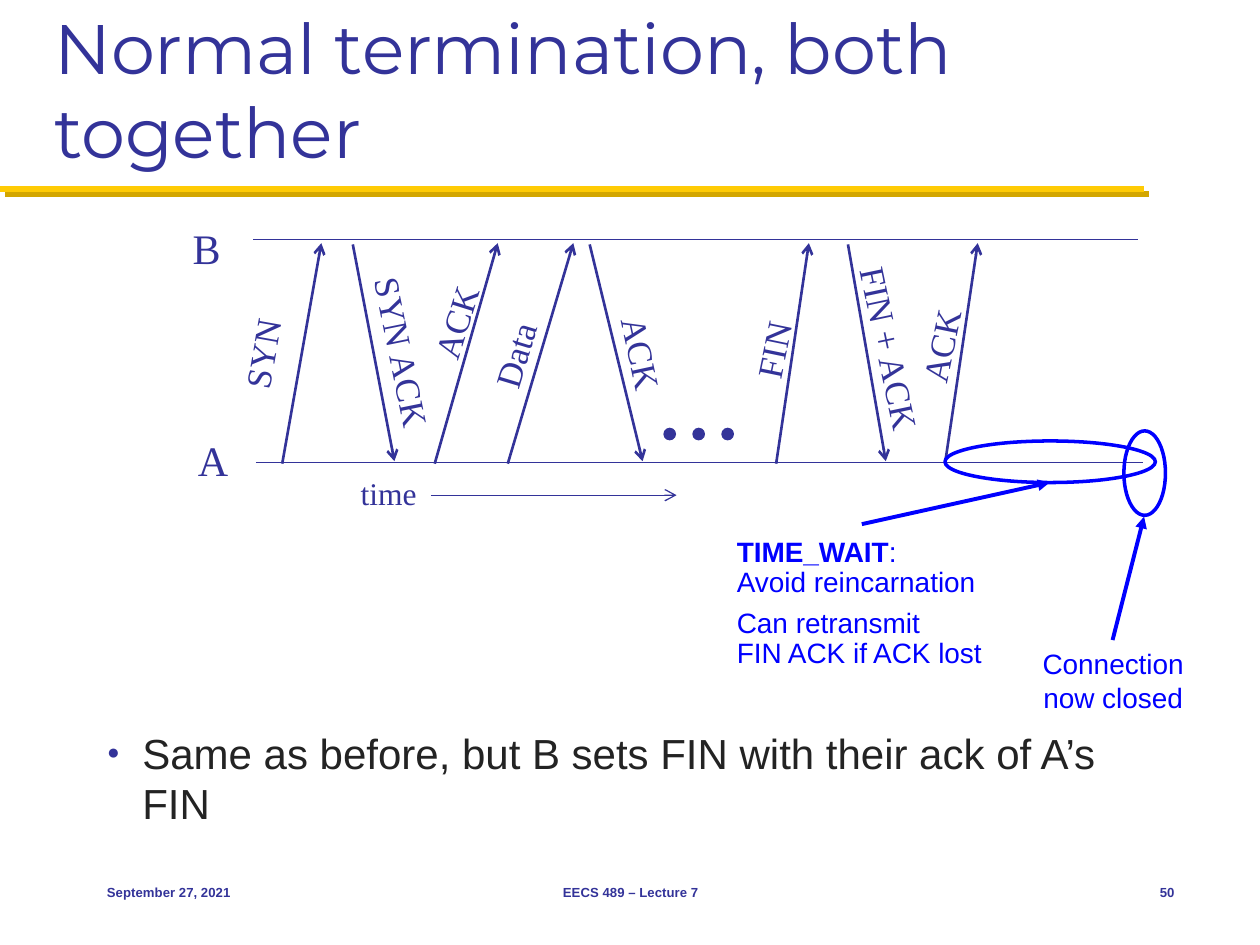
from lxml import etree
from pptx import Presentation
from pptx.dml.color import RGBColor
from pptx.enum.shapes import MSO_CONNECTOR, MSO_SHAPE
from pptx.enum.text import MSO_ANCHOR, MSO_AUTO_SIZE, PP_ALIGN
from pptx.oxml.ns import qn
from pptx.util import Inches, Pt

NAVY = RGBColor(0x33, 0x33, 0x99)
BLUE = RGBColor(0x00, 0x00, 0xFF)
INK = RGBColor(0x23, 0x23, 0x23)
GOLD = RGBColor(0xFF, 0xCB, 0x05)
GOLD_SHADE = RGBColor(0xD3, 0xA6, 0x00)
SANS, SERIF, DISPLAY = "Arial", "Times New Roman", "Montserrat"

STRAIGHT, OVAL = MSO_CONNECTOR.STRAIGHT, MSO_SHAPE.OVAL
LEFT, CENTER, RIGHT = PP_ALIGN.LEFT, PP_ALIGN.CENTER, PP_ALIGN.RIGHT
MIDDLE, BOTTOM = MSO_ANCHOR.MIDDLE, MSO_ANCHOR.BOTTOM
NO_FIT = MSO_AUTO_SIZE.NONE

COLUMNS, ROWS = 100, 75  # grid laid over the slide


class SlideBuilder:
    def __init__(self, prs):
        self.slide = prs.slides.add_slide(prs.slide_layouts[1])
        self.column = prs.slide_width / COLUMNS
        self.row = prs.slide_height / ROWS

    def grid(self, x, y):
        return round(x * self.column), round(y * self.row)

    def style(self, p, size, color, font, bold=False):
        for r in p.runs:
            r.font.size, r.font.name, r.font.bold = Pt(size), font, bold
            r.font.color.rgb = color

    def placeholder(self, index, text, box, size, color, font, anchor):
        sp = self.slide.placeholders[index]
        sp.left, sp.top = self.grid(*box[:2])
        sp.width, sp.height = self.grid(*box[2:])
        tf = sp.text_frame
        tf.text, tf.auto_size, tf.vertical_anchor = text, NO_FIT, anchor
        p = tf.paragraphs[0]
        p.alignment, p.space_before = LEFT, Pt(0)
        self.style(p, size, color, font)
        return p

    def bullet(self, p, indent, char, color, percent):
        pPr = p._p.get_or_add_pPr()
        pPr.set("marL", str(Inches(indent)))
        pPr.set("indent", str(-Inches(indent)))
        bu_clr = etree.SubElement(pPr, qn("a:buClr"))
        etree.SubElement(bu_clr, qn("a:srgbClr"), val=str(color))
        etree.SubElement(pPr, qn("a:buSzPct"), val=str(percent * 1000))
        etree.SubElement(pPr, qn("a:buChar"), char=char)

    def text(self, lines, box, size, color=NAVY, font=SERIF, align=CENTER,
             bold=False, rotation=0):
        sp = self.slide.shapes.add_textbox(*self.grid(*box[:2]), *self.grid(*box[2:]))
        sp.rotation = rotation
        tf = sp.text_frame
        tf.word_wrap, tf.vertical_anchor = align != CENTER, MIDDLE
        for i, line in enumerate(lines):
            p = tf.add_paragraph() if i else tf.paragraphs[0]
            p.text, p.alignment = line, align
            self.style(p, size, color, font, bold)
        return tf

    def line(self, start, end, color=NAVY, width=1.5, head=None, shade=None):
        cn = self.slide.shapes.add_connector(STRAIGHT, *self.grid(*start), *self.grid(*end))
        cn.line.color.rgb, cn.line.width = color, Pt(width)
        if head:
            etree.SubElement(cn.line._get_or_add_ln(), qn("a:tailEnd"), type=head)
        effects = etree.SubElement(cn._element.spPr, qn("a:effectLst"))
        if shade:
            shadow = etree.SubElement(effects, qn("a:outerShdw"), blurRad="0",
                                      dist=str(Pt(4.2)), dir=str(45 * 60000))
            etree.SubElement(shadow, qn("a:srgbClr"), val=str(shade))

    def oval(self, box, color, width, filled=False):
        sp = self.slide.shapes.add_shape(OVAL, *self.grid(*box[:2]), *self.grid(*box[2:]))
        sp.shadow.inherit = False
        sp.line.color.rgb, sp.line.width = color, Pt(width)
        if filled:
            sp.fill.solid()
            sp.fill.fore_color.rgb = color
        else:
            sp.fill.background()


# Messages: label, x at start, x at tip, rising, label centre, label width, angle
MESSAGES = [
    ("SYN", 22.4, 25.5, True, (20.8, 28.05), 7.6, 280.1),
    ("SYN ACK", 28, 31.3, False, (31.95, 27.95), 14.1, 78.5),
    ("ACK", 34.5, 39.5, True, (36.15, 25.55), 7.9, 287.4),
    ("Data", 40.3, 45.5, True, (40.85, 28.15), 7.3, 286.7),
    ("ACK", 46.8, 51, False, (50.95, 28.05), 7.9, 77.9),
    ("FIN", 61.6, 64.2, True, (61.35, 27.75), 6.5, 281.6),
    ("FIN + ACK", 67.3, 70.3, False, (70.65, 27.65), 15.3, 78.1),
    ("ACK", 75, 77.6, True, (74.65, 27.45), 7.9, 281.6),
]
LABEL_HEIGHT = 4.3


def main():
    prs = Presentation()
    prs.slide_width, prs.slide_height = Inches(10), Inches(7.5)
    s = SlideBuilder(prs)

    # Title, rule and bullet
    s.line((0, 15), (90.8, 15), GOLD, 3.5, shade=GOLD_SHADE)
    s.placeholder(0, "Normal termination, both together", (3.3, 1.7, 93.3, 12.5),
                  40, NAVY, DISPLAY, BOTTOM)
    p = s.placeholder(1, "Same as before, but B sets FIN with their ack of A’s FIN",
                      (7.5, 57.2, 86.7, 8.6), 24, INK, SANS, MSO_ANCHOR.TOP)
    s.bullet(p, 0.28, "●", NAVY, 50)

    # Host timelines and time axis
    s.line((20.1, 19), (90.3, 19), width=0.75)
    s.line((20.3, 36.7), (90.7, 36.7), width=0.75)
    s.text(["B"], (14.3, 17.2, 4.2, 5), 24)
    s.text(["A"], (14.7, 34, 4.4, 5), 24)
    s.text(["time"], (27.6, 37.1, 6.5, 4), 18)
    s.line((34.2, 39.3), (53.7, 39.3), width=0.75, head="arrow")

    # Messages between the hosts
    for label, start, tip, rising, (x, y), width, angle in MESSAGES:
        top, bottom = (19.3, 36.8) if rising else (19.4, 36.6)
        ends = (bottom, top) if rising else (top, bottom)
        s.line((start, ends[0]), (tip, ends[1]), head="arrow")
        s.text([label], (x - width / 2, y - LABEL_HEIGHT / 2, width, LABEL_HEIGHT),
               20, rotation=angle)

    # Ellipsis
    for i in range(3):
        s.oval((52.7 + 2.3 * i, 34, 0.9, 0.9), NAVY, 0.75, filled=True)

    # Connection closed
    s.line((88.3, 50.8), (90.8, 41), BLUE, 2.25, "triangle")
    s.oval((89.2, 34.2, 3.3, 6.7), BLUE, 2)
    s.text(["Connection\vnow closed"], (81.7, 50.8, 13.3, 6.4), 16, BLUE, SANS)

    # Waiting period
    s.line((68.4, 41.6), (83.3, 38.3), BLUE, 2.25, "triangle")
    s.oval((75, 35, 16.7, 3.3), BLUE, 2)
    tf = s.text(["TIME_WAIT", "Avoid reincarnation", "Can retransmit\vFIN ACK if ACK lost"],
                (57.5, 41.6, 21.7, 12.4), 16, BLUE, SANS, LEFT)
    heading, *details = tf.paragraphs
    heading.add_run().text = ":"
    s.style(heading, 16, BLUE, SANS)
    heading.runs[0].font.bold = True
    for p, spacing in zip(details, (0.4, 0.9)):
        p.line_spacing, p.space_before = spacing, Pt(8)

    # Footer
    for text, x, width, align in [("September 27, 2021", 7.5, 20.8, LEFT),
                                  ("EECS 489 – Lecture 7", 34.2, 31.7, CENTER),
                                  ("50", 87.5, 6.7, RIGHT)]:
        s.text([text], (x, 68.3, width, 5), 7.5, NAVY, SANS, align, bold=True)

    prs.save("out.pptx")


if __name__ == "__main__":
    main()
